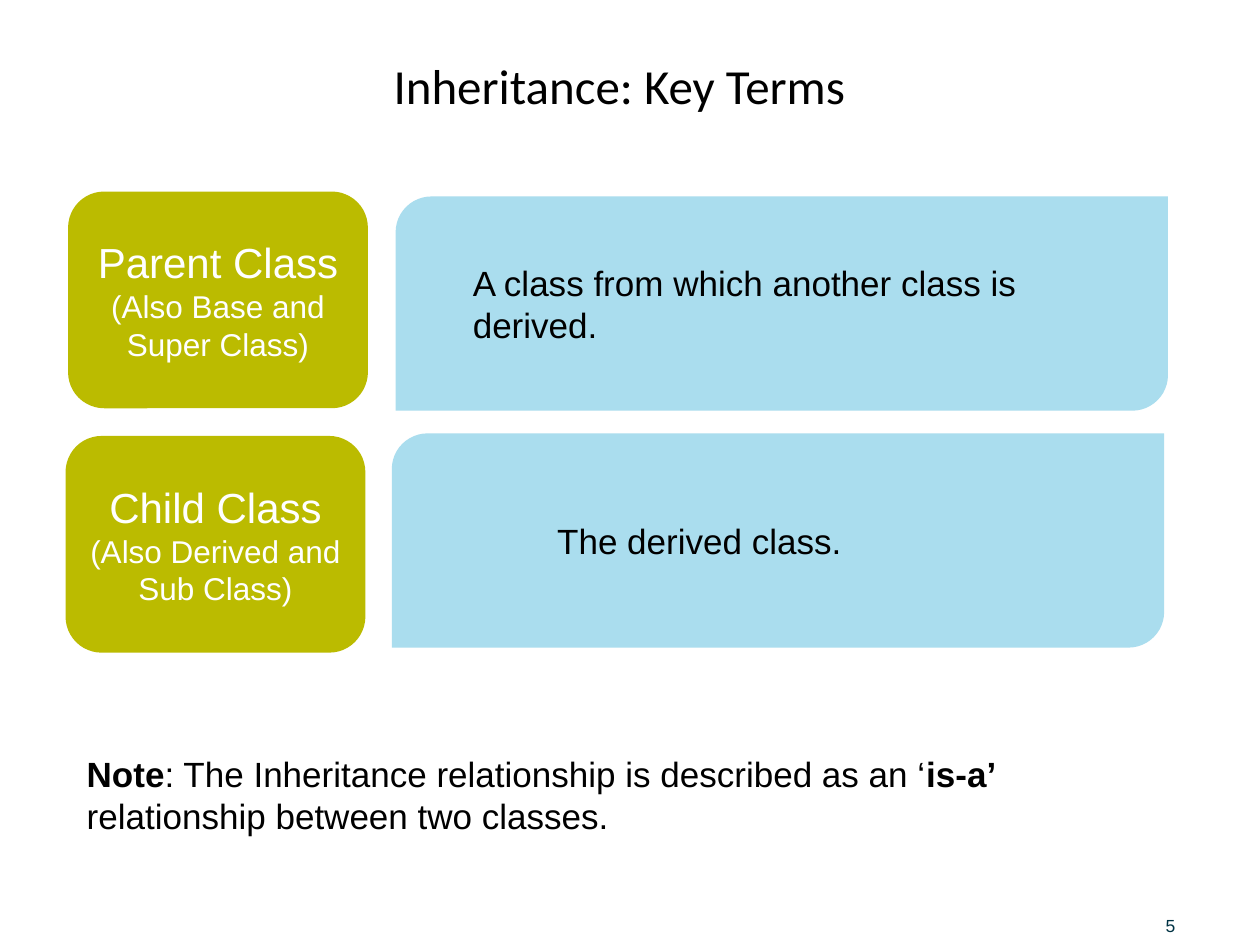
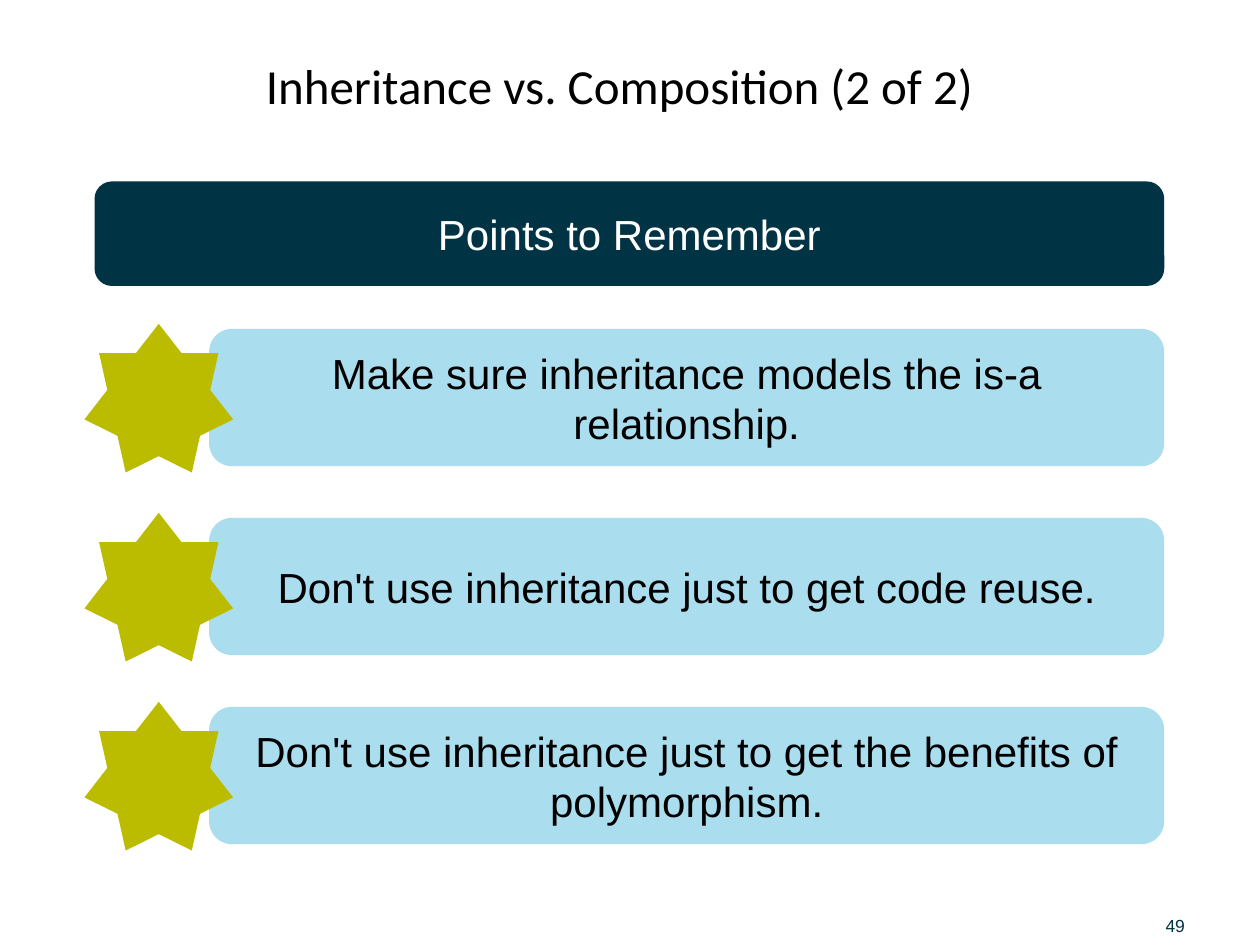
"""Build two slides on inheritance: its key terms, and points to remember."""
from dataclasses import dataclass

from pptx import Presentation
from pptx.dml.color import RGBColor
from pptx.enum.shapes import MSO_SHAPE
from pptx.enum.text import MSO_ANCHOR, PP_ALIGN
from pptx.util import Inches, Pt


@dataclass(frozen=True)
class Theme:
    """Colours, fonts and type sizes that the slides share."""
    navy: str = "003344"
    olive: str = "BBBB00"
    sky: str = "AADDEE"
    black: str = "000000"
    white: str = "FFFFFF"
    head: str = "Calibri"
    body: str = "Arial"
    title: int = 28
    large: int = 24
    text: int = 20
    small: int = 18
    tiny: int = 10


LOOK = Theme()
COLS, ROWS = 10, 7.5
TITLE = (0.5, 0.2, 8.83, 0.95)
NUMBER = (9.25, 7.15, 0.69, 0.28)


def place(box):
    """Turn a box in columns and rows into slide lengths."""
    return [Inches(part) for part in box]


def style(para, size, color, align=PP_ALIGN.LEFT, face=LOOK.body):
    """Set the font and alignment of a paragraph."""
    para.alignment = align
    para.font.name = face
    para.font.size = Pt(size)
    para.font.color.rgb = RGBColor.from_string(color)


def add_page(deck, title, number):
    """Add a slide with its title and page number."""
    page = deck.slides.add_slide(deck.slide_layouts[5])
    head = page.shapes.title
    head.left, head.top, head.width, head.height = place(TITLE)
    head.text_frame.text = title
    head.text_frame.vertical_anchor = MSO_ANCHOR.MIDDLE
    style(head.text_frame.paragraphs[0], LOOK.title, LOOK.black,
          PP_ALIGN.CENTER, LOOK.head)
    frame = page.shapes.add_textbox(*place(NUMBER)).text_frame
    frame.margin_left = frame.margin_right = 0
    frame.margin_top = frame.margin_bottom = 0
    frame.vertical_anchor = MSO_ANCHOR.BOTTOM
    frame.text = str(number)
    style(frame.paragraphs[0], LOOK.tiny, LOOK.navy)
    return page.shapes


def add_form(shapes, kind, box, fill):
    """Add a plain filled shape and return its text frame."""
    form = shapes.add_shape(kind, *place(box))
    form.shadow.inherit = False
    form.fill.solid()
    form.fill.fore_color.rgb = RGBColor.from_string(fill)
    form.line.fill.background()
    frame = form.text_frame
    frame.word_wrap = True
    frame.vertical_anchor = MSO_ANCHOR.MIDDLE
    return frame


def add_bar(shapes, box, fill, text, color):
    """Add a rounded bar with centred text."""
    frame = add_form(shapes, MSO_SHAPE.ROUNDED_RECTANGLE, box, fill)
    frame.text = text
    para = frame.paragraphs[0]
    style(para, LOOK.large, color, PP_ALIGN.CENTER)
    return para


def add_term(shapes, label, card, name, alias, meaning, indent):
    """Add a class label and the card that explains it."""
    para = add_bar(shapes, (*label, 2.38, 1.72), LOOK.olive, name + " ",
                   LOOK.white)
    run = para.add_run()
    run.text = alias
    run.font.size = Pt(LOOK.small)
    frame = add_form(shapes, MSO_SHAPE.ROUND_2_DIAG_RECTANGLE,
                     (*card, 6.13, 1.7), LOOK.sky)
    frame.margin_left = Inches(indent)
    frame.margin_right = Inches(0.2)
    frame.text = meaning
    style(frame.paragraphs[0], LOOK.text, LOOK.black)


def add_note(shapes, box, parts):
    """Add a note from pairs of text and boldness."""
    frame = shapes.add_textbox(*place(box)).text_frame
    frame.word_wrap = True
    para = frame.paragraphs[0]
    style(para, LOOK.text, LOOK.black)
    for text, bold in parts:
        run = para.add_run()
        run.text = text
        run.font.bold = bold


def add_point(shapes, row, text):
    """Add a group of one bar and the star on its left end."""
    group = shapes.add_group_shape().shapes
    add_bar(group, (1.66, row, 7.58, 1.09), LOOK.sky, text, LOOK.black)
    add_form(group, MSO_SHAPE.STAR_7_POINT, (0.67, row - 0.04, 1.18, 1.18),
             LOOK.olive)


def add_terms(deck):
    """Add the slide of key terms."""
    shapes = add_page(deck, "Inheritance: Key Terms", 5)
    add_term(shapes, (0.54, 1.52), (3.14, 1.56), "Parent Class",
             "(Also Base and Super Class)",
             "A class from which another class is derived.", 0.53)
    add_term(shapes, (0.52, 3.46), (3.11, 3.44), "Child Class",
             "(Also Derived and Sub Class)", "The derived class.", 1.23)
    add_note(shapes, (0.59, 5.92, 8.8, 0.77), [
        ("Note", True),
        (": The Inheritance relationship is described as an ‘", False),
        ("is-a’", True),
        (" relationship between two classes.", False)])


def add_points(deck):
    """Add the slide of points to remember."""
    shapes = add_page(deck, "Inheritance vs. Composition (2 of 2)", 49)
    add_bar(shapes, (0.75, 1.44, 8.49, 0.83), LOOK.navy,
            "Points to Remember", LOOK.white)
    points = ["Make sure inheritance models the is-a relationship.",
              "Don't use inheritance just to get code reuse.",
              "Don't use inheritance just to get the benefits of polymorphism."]
    for step, text in enumerate(points):
        add_point(shapes, 2.61 + 1.5 * step, text)


def main():
    """Build the deck and save it."""
    deck = Presentation()
    deck.slide_width, deck.slide_height = Inches(COLS), Inches(ROWS)
    add_terms(deck)
    add_points(deck)
    deck.save("out.pptx")


if __name__ == "__main__":
    main()
